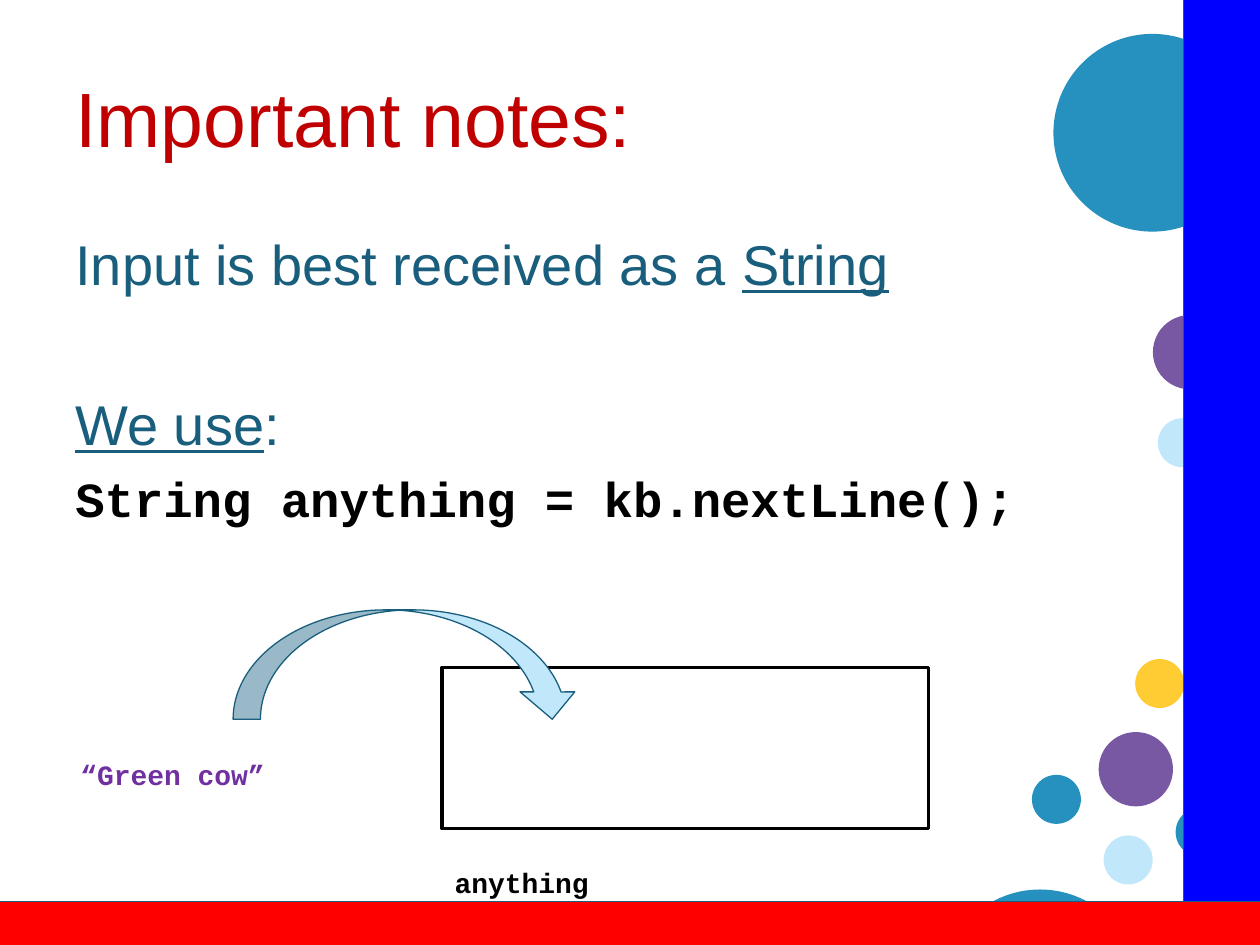
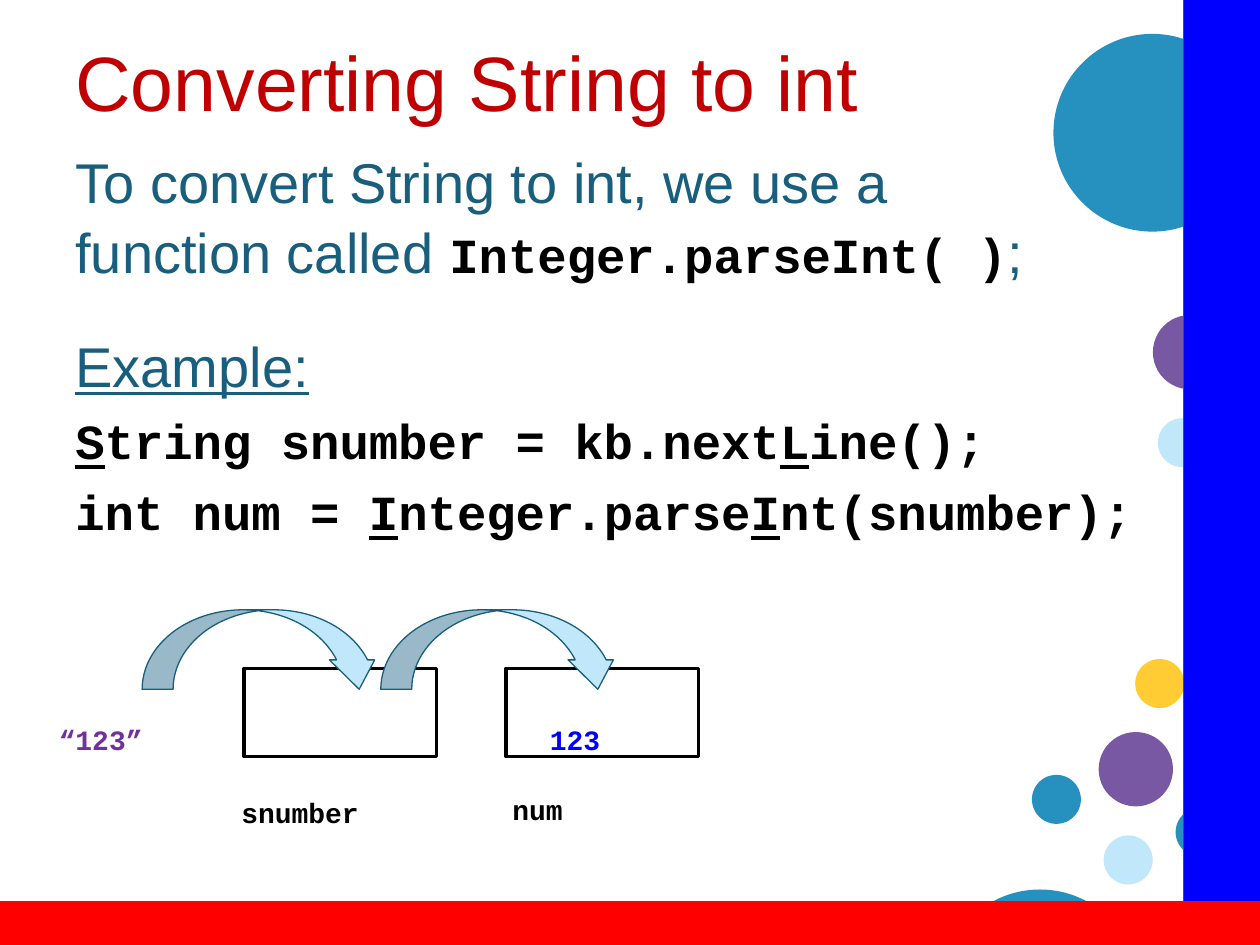
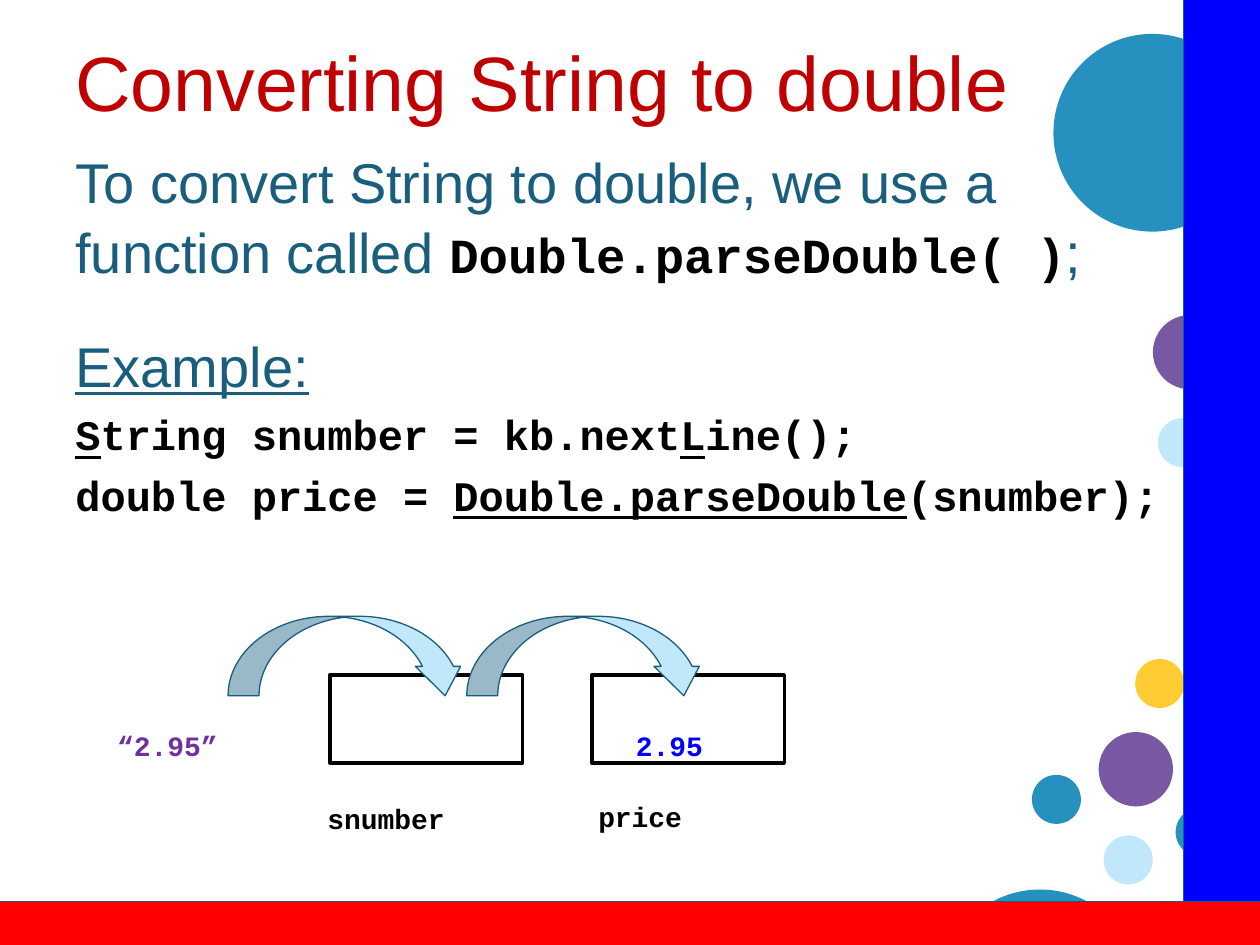
from dataclasses import dataclass

from pptx import Presentation
from pptx.dml.color import RGBColor
from pptx.enum.shapes import MSO_SHAPE
from pptx.enum.text import MSO_ANCHOR
from pptx.util import Pt

BLACK = RGBColor(0x00, 0x00, 0x00)
WHITE = RGBColor(0xFF, 0xFF, 0xFF)
RED = RGBColor(0xFF, 0x00, 0x00)
BLUE = RGBColor(0x00, 0x00, 0xFF)
DARK_RED = RGBColor(0xC0, 0x00, 0x00)
TEAL = RGBColor(0x19, 0x5E, 0x7D)
SKY = RGBColor(0x26, 0x91, 0xBF)
PALE = RGBColor(0xC0, 0xE7, 0xFA)
PLUM = RGBColor(0x79, 0x58, 0xA3)
VIOLET = RGBColor(0x70, 0x30, 0xA0)
GOLD = RGBColor(0xFF, 0xCC, 0x33)

SMALL, MEDIUM, LARGE = 28, 42.5, 113
BUBBLES = [  # left, top, diameter, colour
    (648.7, 376.6, SMALL, GOLD), (627.8, 418.3, MEDIUM, PLUM),
    (589.7, 442.8, SMALL, SKY), (630.7, 477.4, SMALL, PALE),
    (671.8, 461.5, SMALL, SKY), (602, 19.4, LARGE, SKY),
    (658.8, 180, MEDIUM, PLUM), (661.7, 239, SMALL, PALE),
    (537.8, 508.3, LARGE, SKY),
]


@dataclass(frozen=True)
class Style:
    face: str
    size: float
    color: RGBColor
    bold: bool = False


TITLE = Style("Arial", 44, DARK_RED)
PROSE = Style("Arial", 32, TEAL)
CODE = Style("Courier New", 28, BLACK, True)
SMALL_CODE = Style("Courier New", 24, BLACK, True)
LABEL = Style("Courier New", 16, BLACK, True)
INPUT = Style("Courier New", 16, VIOLET, True)
VALUE = Style("Courier New", 16, BLUE, True)


def set_font(font, style):
    font.name, font.size, font.bold = style.face, Pt(style.size), style.bold
    font.color.rgb = style.color


def add_text_box(page, left, top, width, height):
    box = page.shapes.add_textbox(Pt(left), Pt(top), Pt(width), Pt(height))
    box.text_frame.word_wrap = True
    return box.text_frame


def add_spans(para, text):
    """Add text to a paragraph; parts between underscores are underlined."""
    spans = []
    for index, part in enumerate(text.split("_")):
        if part:
            span = para.add_run()
            span.text = part
            if index % 2:
                span.font.underline = True
            spans.append(span)
    return spans


def write(para, text, style, before=None):
    set_font(para.font, style)
    add_spans(para, text)
    if before is not None:
        para.space_before = Pt(before)
        para.line_spacing = 1.04


def add_shape(page, kind, left, top, width, height, fill, line=None, weight=0.75):
    shape = page.shapes.add_shape(kind, Pt(left), Pt(top), Pt(width), Pt(height))
    shape.shadow.inherit = False
    shape.fill.solid()
    shape.fill.fore_color.rgb = fill
    if line is None:
        shape.line.fill.background()
    else:
        shape.line.color.rgb = line
        shape.line.width = Pt(weight)
    return shape


def add_page(deck, title, top, height):
    """Blank page with bubbles, bands and title."""
    page = deck.slides.add_slide(deck.slide_layouts[6])
    for left, bubble_top, size, color in BUBBLES:
        add_shape(page, MSO_SHAPE.OVAL, left, bubble_top, size, size, color)
    add_shape(page, MSO_SHAPE.RECTANGLE, 676.5, -8.6, 61.2, 586.8, BLUE, TEAL)
    add_shape(page, MSO_SHAPE.RECTANGLE, -14.4, 515.3, 797, 44, RED, TEAL)
    frame = add_text_box(page, 36, top, 569.5, height)
    frame.vertical_anchor = MSO_ANCHOR.MIDDLE
    write(frame.paragraphs[0], title, TITLE)
    return page


def add_label(page, left, top, width, text, style):
    """One short line that sits at the foot of its box."""
    frame = add_text_box(page, left, top, width, 41)
    frame.margin_top, frame.margin_bottom = Pt(24), Pt(0)
    write(frame.paragraphs[0], text, style)


def add_variable(page, left, top, width, height):
    add_shape(page, MSO_SHAPE.RECTANGLE, left, top, width, height, WHITE, BLACK, 2)


def add_arrow(page, left, top, width, height, adjustments=()):
    arrow = add_shape(page, MSO_SHAPE.CURVED_DOWN_ARROW, left, top, width, height,
                      PALE, TEAL)
    for index, value in enumerate(adjustments):
        arrow.adjustments[index] = value


def add_input_flow(page, left, top):
    """Typed text moving into one variable."""
    add_label(page, left - 94.3, top + 62.5, 214.5, "“Green cow”", INPUT)
    add_label(page, left + 119.5, top + 124.5, 194.5, "anything", LABEL)
    add_variable(page, left + 119.5, top + 33, 278, 92)
    add_arrow(page, left, top, 198, 62.5)


def add_conversion_flow(page, left, top, typed, typed_shift, name, value):
    """Typed text moving into snumber, then converted into a number."""
    add_label(page, left - typed_shift, top + 42.5, 121, typed, INPUT)
    add_label(page, left + 49.7, top + 84.2, 194.5, "snumber", LABEL)
    add_label(page, left + 204.5, top + 83, 194.5, name, LABEL)
    for step in range(2):
        add_variable(page, left + 58.3 + 149.6 * step, top + 33.4, 110, 50.4)
        add_arrow(page, left + 136.4 * step, top, 137, 45.4, (0.39, 0.57, 0.37))
    add_label(page, left + 226, top + 42.5, 82, value, VALUE)


def add_notes_page(deck):
    page = add_page(deck, "Important notes:", 21.6, 90)
    frame = add_text_box(page, 36, 126, 598.5, 356.5)
    write(frame.paragraphs[0], "Input is best received as a _String_", PROSE, 0)
    write(frame.add_paragraph(), "_We use_:", PROSE, 51.4)
    write(frame.add_paragraph(), "String anything = kb.nextLine();", CODE, 5.6)
    add_input_flow(page, 133.2, 348.5)


def add_conversion_page(deck, kind, function, statements, style, flow):
    page = add_page(deck, f"Converting String to {kind}", 16.5, 59)
    frame = add_text_box(page, 36, 79.2, 684, 403)

    # Introduction, mixing prose and code
    intro = frame.paragraphs[0]
    write(intro, f"To convert String to {kind}, we use a ", PROSE, 0)
    intro.add_line_break()
    add_spans(intro, "function called ")
    for span in add_spans(intro, function):
        set_font(span.font, CODE)
    add_spans(intro, ";")

    # Example
    write(frame.add_paragraph(), "_Example:_", PROSE, 25)
    for statement in statements:
        write(frame.add_paragraph(), statement, style, style.size * 0.2)
    add_conversion_flow(page, *flow)


def main():
    deck = Presentation()
    deck.slide_width, deck.slide_height = Pt(720), Pt(540)
    read_line = "_S_tring snumber = kb.next_L_ine();"
    add_notes_page(deck)
    add_conversion_page(
        deck, "int", "Integer.parseInt( )",
        [read_line, "int num = _I_nteger.parse_I_nt(snumber);"], CODE,
        (81.2, 348.5, "“123”", 54.7, "num", "123"))
    add_conversion_page(
        deck, "double", "Double.parseDouble( )",
        [read_line, "double price = _Double.parseDouble_(snumber);"], SMALL_CODE,
        (130.3, 352.2, "“2.95”", 70.5, "price", "2.95"))
    deck.save("out.pptx")


if __name__ == "__main__":
    main()
